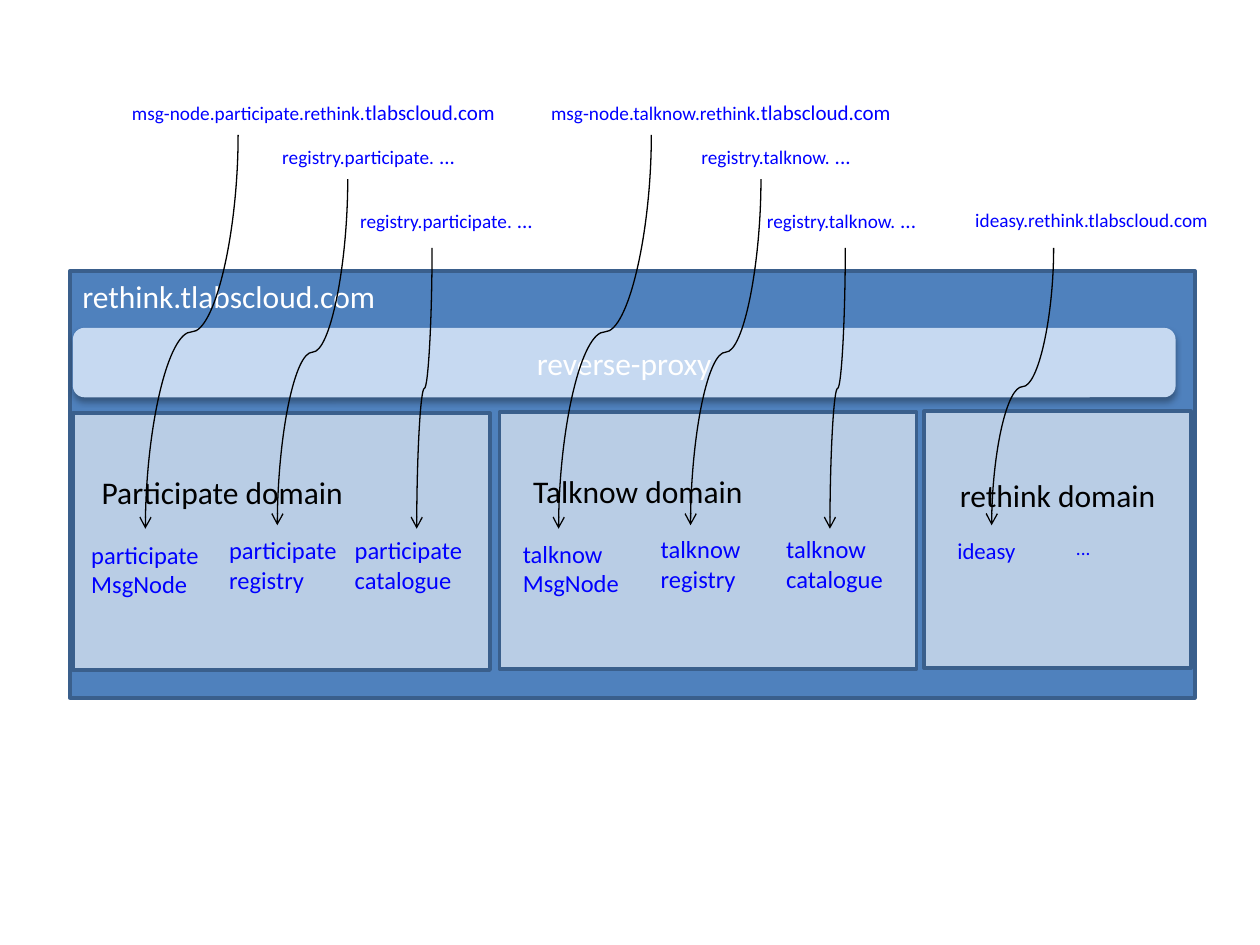
"""Build the slide that maps host names through a reverse proxy to domain services."""
from lxml.etree import SubElement
from pptx import Presentation
from pptx.dml.color import RGBColor
from pptx.enum.shapes import MSO_CONNECTOR, MSO_SHAPE as SHAPE
from pptx.enum.text import MSO_ANCHOR, PP_ALIGN
from pptx.oxml.ns import qn
from pptx.util import Cm, Pt

rgb = RGBColor.from_string
BLUE, BLACK, WHITE = "0000FF", "000000", "FFFFFF"

prs = Presentation()
prs.slide_width, prs.slide_height = Cm(25.4), Cm(19.05)
s = prs.slides.add_slide(prs.slide_layouts[6])


def add_box(kind, x, y, w, h, fill, line=None):
    sp = s.shapes.add_shape(kind, Cm(x), Cm(y), Cm(w), Cm(h))
    sp.shadow.inherit = False
    sp.fill.solid()
    sp.fill.fore_color.rgb = rgb(fill)
    if line:
        sp.line.color.rgb = rgb(line)
        sp.line.width = Pt(2)
    else:
        sp.line.fill.background()
    return sp


def write(sp, text, size, color, tail=""):
    tf = sp.text_frame
    tf.word_wrap = True
    for i, line in enumerate(text.split("\n")):
        p = tf.paragraphs[0] if i == 0 else tf.add_paragraph()
        p.font.name = "Calibri"
        p.font.color.rgb = rgb(color)
        r = p.add_run()
        r.text = line
        if tail:
            r.font.size = Pt(size)
            r = p.add_run()
            r.text = tail
            r.font.size = Pt(12)
        else:
            p.font.size = Pt(size)


cloud = add_box(SHAPE.RECTANGLE, 1.41, 5.46, 22.68, 8.61, "4F81BD", "3A5F8C")
cloud.text_frame.vertical_anchor = MSO_ANCHOR.TOP
write(cloud, "rethink.tlabscloud.com", 18, WHITE)
cloud.text_frame.paragraphs[0].alignment = PP_ALIGN.LEFT

proxy = add_box(SHAPE.ROUNDED_RECTANGLE, 1.47, 6.61, 22.23, 1.4, "C6D9F1")
proxy.text_frame.vertical_anchor = MSO_ANCHOR.MIDDLE
write(proxy, "reverse-proxy", 18, WHITE)
proxy.text_frame.paragraphs[0].alignment = PP_ALIGN.CENTER
effects = proxy._element.spPr.find(qn("a:effectLst"))
shadow = SubElement(effects, qn("a:outerShdw"), blurRad=str(Pt(3.5)), dist=str(Pt(2.2)),
                    dir="5400000", rotWithShape="0")
SubElement(SubElement(shadow, qn("a:srgbClr"), val=BLACK), qn("a:alpha"), val="32000")

for x, y, w in [(1.47, 8.33, 8.41), (10.07, 8.31, 8.41), (18.63, 8.29, 5.38)]:
    add_box(SHAPE.RECTANGLE, x, y, w, 5.18, "B9CDE5", "3A5F8C")

labels = [
    (19.05, 10.69, 1.85, 0.79, "ideasy", 13, BLUE),
    (21.44, 10.69, 1.85, 0.71, "...", 11, BLUE),
    (19.1, 9.47, 4.5, 0.89, "rethink domain", 18, BLACK),
    (19.41, 4.07, 5.79, 0.71, "ideasy.rethink.tlabscloud.com", 11, BLUE),
]
curves = [(21.24, 5, 19.99, 10.59)]
domains = [("participate", 0, 0, 0, 0, 0, 8.1, 4.3),
           ("talknow", 8.7, -0.02, 8.33, 8.45, 8.2, 7.7, 3.8)]
for name, dx, dy, curve_dx, host_dx, catalogue_dx, host_w, registry_w in domains:
    registry = f"registry.{name}."
    labels += [
        (1.8 + dx, 9.41 + dy, 6.4, 0.89, f"{name.capitalize()} domain", 18, BLACK),
        (1.59 + dx, 10.76 + dy, 2.72, 1.42, f"{name}\nMsgNode", 14, BLUE),
        (4.37 + dx, 10.67 + dy, 2.72, 1.42, f"{name} registry", 14, BLUE),
        (6.9 + dx, 10.67 + dy, 2.97, 1.42, f"{name} catalogue", 14, BLUE),
        (2.41 + host_dx, 1.88, host_w, 0.76, f"msg-node.{name}.rethink.", 11, BLUE,
         "tlabscloud.com"),
        (5.44 + host_dx, 2.77, registry_w, 0.76, registry, 11, BLUE, " ..."),
        (7.01 + catalogue_dx, 4.06, 5.21, 0.76, registry, 11, BLUE, " ..."),
    ]
    curves += [
        (4.8 + curve_dx, 2.72, 2.93 + curve_dx, 10.66),
        (7.01 + curve_dx, 3.61, 5.59 + curve_dx, 10.59),
        (8.71 + curve_dx, 5, 8.4 + curve_dx, 10.66),
    ]

for x, y, w, h, *content in labels:
    write(s.shapes.add_textbox(Cm(x), Cm(y), Cm(w), Cm(h)), *content)

for x1, y1, x2, y2 in curves:
    w, h = x1 - x2, y2 - y1
    left, top = (x1 + x2 - h) / 2, (y1 + y2 - w) / 2
    c = s.shapes.add_connector(MSO_CONNECTOR.CURVE, Cm(left), Cm(top), Cm(left + h), Cm(top + w))
    c.line.color.rgb = rgb(BLACK)
    c.line.width = Pt(0.75)
    props = c._element.spPr
    props.find(qn("a:xfrm")).set("rot", "5400000")
    SubElement(props.find(qn("a:ln")), qn("a:tailEnd"), type="arrow")
    SubElement(props, qn("a:effectLst"))

prs.save("out.pptx")
